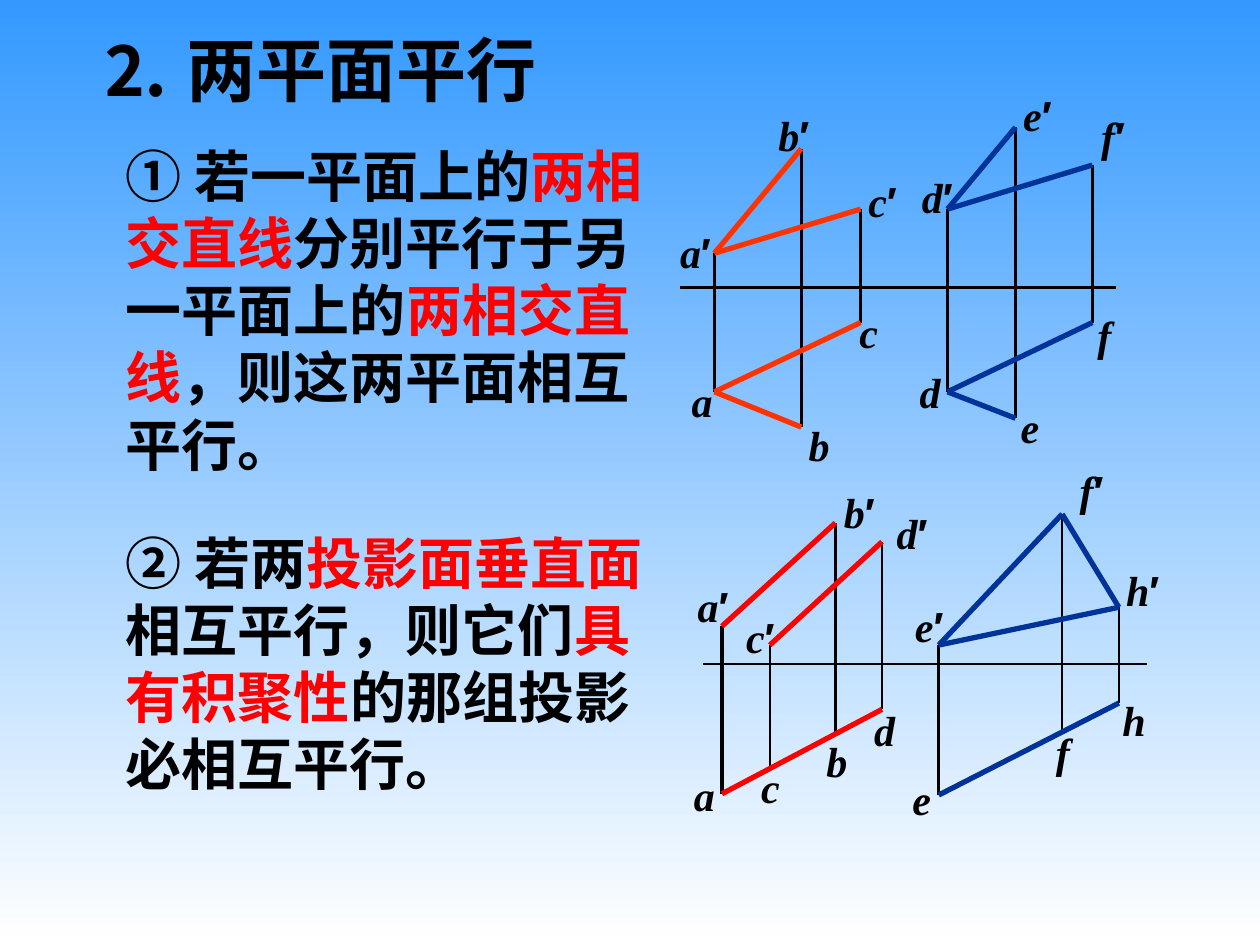
from pptx import Presentation
from pptx.dml.color import RGBColor
from pptx.enum.shapes import MSO_CONNECTOR
from pptx.enum.text import MSO_ANCHOR, MSO_AUTO_SIZE, PP_ALIGN
from pptx.oxml.ns import qn
from pptx.util import Inches, Pt
from lxml import etree

STRAIGHT = MSO_CONNECTOR.STRAIGHT
MIDDLE = MSO_ANCHOR.MIDDLE
FIT_SHAPE = MSO_AUTO_SIZE.SHAPE_TO_FIT_TEXT
LEFT, CENTER = PP_ALIGN.LEFT, PP_ALIGN.CENTER
COLORS = {
    "sky": "3399FF", "white": "FFFFFF", "black": "000000",
    "red": "FF0000", "orange": "FF3300", "blue": "003399",
}


def add_line(shapes, start, end, color, width):
    line = shapes.add_connector(STRAIGHT, *[Inches(v) for v in (*start, *end)])
    line.line.color.rgb = RGBColor.from_string(COLORS[color])
    line.line.width = Pt(width)
    etree.SubElement(line._element.spPr, qn("a:effectLst"))


def fill_text(sp, runs, size, align, wrap):
    tf = sp.text_frame
    tf.word_wrap = wrap
    tf.auto_size = FIT_SHAPE
    tf.vertical_anchor = MIDDLE
    p = tf.paragraphs[0]
    p.alignment = align
    for text, color, font, italic in runs:
        r = p.add_run()
        r.text = text
        r.font.size = Pt(size)
        r.font.bold = True
        r.font.italic = italic
        r.font.name = font
        r.font.color.rgb = RGBColor.from_string(COLORS[color])


prs = Presentation()
prs.slide_width, prs.slide_height = Inches(10), Inches(7.5)
s = prs.slides.add_slide(prs.slide_layouts[5])

fill = s.background.fill
fill.gradient()
fill.gradient_angle = 270
for stop, position, color in zip(fill.gradient_stops, (0, 1), ("sky", "white")):
    stop.position = position
    stop.color.rgb = RGBColor.from_string(COLORS[color])

title = s.shapes.title
title.left, title.top = Inches(0.7), Inches(0.16)
title.width, title.height = Inches(4.2), Inches(0.77)
fill_text(title, [("⒉ 两平面平行", "black", "Times New Roman", False)], 40, LEFT, True)

theorems = [
    (1.07, 4.46, 2.77, ["① 若一平面上的", "两相交直线", "分别平行于另一平面上的",
                        "两相交直线", "，则这两平面相互平行。"]),
    (4.14, 4.35, 2.24, ["② 若两", "投影面垂直面", "相互平行，则它们",
                        "具有积聚性", "的那组投影必相互平行。"]),
]
for top, width, height, parts in theorems:
    sp = s.shapes.add_textbox(Inches(0.9), Inches(top), Inches(width), Inches(height))
    runs = [(part, ("black", "red")[i % 2], "Times New Roman", False)
            for i, part in enumerate(parts)]
    fill_text(sp, runs, 32, LEFT, True)

figures = [
    {
        "axis": (5.4, 8.86, 2.28, 1.5),
        "points": {
            "a′": (5.67, 2.01, 5.28, 1.75), "a": (5.67, 3.11, 5.39, 2.93),
            "b′": (6.36, 1.18, 6.06, 0.82), "b": (6.36, 3.39, 6.32, 3.28),
            "c′": (6.83, 1.66, 6.77, 1.34), "c": (6.83, 2.56, 6.72, 2.38),
            "d′": (7.52, 1.66, 7.2, 1.31), "d": (7.52, 3.11, 7.2, 2.86),
            "e′": (8.06, 1.01, 8, 0.66), "e": (8.06, 3.32, 8, 3.14),
            "f′": (8.67, 1.31, 8.62, 0.83), "f": (8.67, 2.56, 8.61, 2.41),
        },
        "edges": {"orange": ["a′ b′", "a′ c′", "a b", "a c"],
                  "blue": ["d′ e′", "d′ f′", "d e", "d f"]},
        "thick": "",
    },
    {
        "axis": (5.58, 9.1, 5.27, 1),
        "points": {
            "a′": (5.73, 4.97, 5.42, 4.56), "a": (5.73, 6.3, 5.41, 6.06),
            "b′": (6.63, 4.15, 6.58, 3.81), "b": (6.63, 5.82, 6.46, 5.79),
            "c′": (6.11, 5.12, 5.8, 4.8), "c": (6.11, 6.09, 5.94, 5.99),
            "d′": (7, 4.3, 7, 3.98), "d": (7, 5.63, 6.84, 5.54),
            "e′": (7.45, 5.12, 7.14, 4.72), "e": (7.45, 6.31, 7.14, 6.09),
            "f′": (8.43, 4.08, 8.45, 3.64), "f": (8.43, 5.8, 8.28, 5.72),
            "h′": (8.88, 4.82, 8.82, 4.43), "h": (8.88, 5.58, 8.81, 5.46),
        },
        "edges": {"red": ["a′ b′", "c′ d′", "a d"],
                  "blue": ["e′ f′", "e′ h′", "f′ h′", "e h"]},
        "thick": "a",
    },
]
letter_widths = {"a": 0.36, "b": 0.36, "c": 0.35, "d": 0.36, "e": 0.35, "f": 0.31, "h": 0.38}

for figure in figures:
    shapes = s.shapes.add_group_shape().shapes
    points = figure["points"]
    left, right, y, width = figure["axis"]
    add_line(shapes, (left, y), (right, y), "black", width)
    for name in points:
        if len(name) == 1:
            width = 2.25 if name == figure["thick"] else 1.5
            add_line(shapes, points[name + "′"][:2], points[name][:2], "black", width)
    for color, edges in figure["edges"].items():
        for edge in edges:
            start, end = edge.split()
            add_line(shapes, points[start][:2], points[end][:2], color, 3)
    for name, (x, y, left, top) in points.items():
        width = letter_widths[name[0]] + 0.12 * (len(name) - 1)
        sp = shapes.add_textbox(Inches(left), Inches(top), Inches(width), Inches(0.5))
        runs = [(name[0], "black", "Times New Roman", True)]
        if len(name) == 2:
            runs.append(("′", "black", "Arial", False))
        fill_text(sp, runs, 24, CENTER, False)

prs.save("out.pptx")
